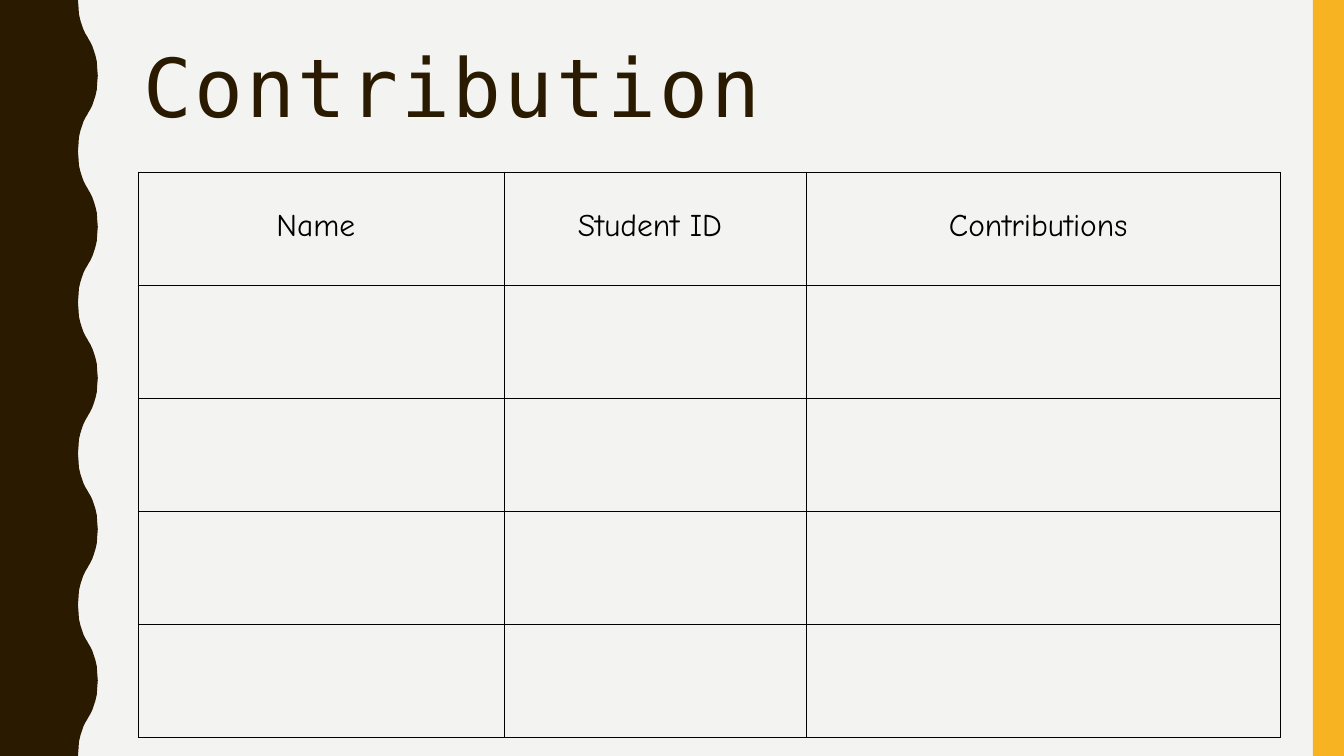
import lxml.etree
import pptx
import pptx.dml.color
import pptx.enum.text
import pptx.oxml.ns
import pptx.util

Cm, Pt = pptx.util.Cm, pptx.util.Pt
RGBColor = pptx.dml.color.RGBColor
qn = pptx.oxml.ns.qn

BROWN = RGBColor(0x2A, 0x1A, 0x00)
AMBER = RGBColor(0xF8, 0xB3, 0x23)
PAPER = RGBColor(0xF3, 0xF3, 0xF2)
BLACK = RGBColor(0, 0, 0)

WIDTH, HEIGHT = 67.74, 38.1
HEADERS = ["Name", "Student ID", "Contributions"]
COLUMN_WIDTHS = [18.44, 15.24, 23.9]
ROW_COUNT = 5
WAVE_COUNT = 5
# Outward and downward steps, in cm, from a trough to the middle of a slope
WAVE_QUARTER = [(0, 0), (0.03, 0.38), (0.05, 0.71), (0.12, 1.02),
                (0.2, 1.27), (0.28, 1.5), (0.38, 1.7), (0.5, 1.9)]

TITLE_FONT = {"name": "DejaVu Sans Mono", "size": Pt(116)}
HEADER_FONT = {"name": "Comic Neue", "size": Pt(45)}


def set_values(obj, values):
    for name, value in values.items():
        setattr(obj, name, value)


def paint(sp, color):
    sp.fill.solid()
    sp.fill.fore_color.rgb = color
    sp.line.fill.background()
    sp.shadow.inherit = False


def write(p, text, font, color):
    r = p.add_run()
    r.text = text
    set_values(r.font, font)
    r.font.color.rgb = color
    return r


def wave_points(width, height):
    """Points down a wavy right edge that starts and ends in a trough."""
    period = height / WAVE_COUNT
    depth = 2 * WAVE_QUARTER[-1][0]
    rise = WAVE_QUARTER + [(depth - x, period / 2 - y)
                           for x, y in reversed(WAVE_QUARTER)]
    wave = rise + [(x, period - y) for x, y in reversed(rise)]
    return [(width - depth + x, i * period + y)
            for i in range(WAVE_COUNT) for x, y in wave]


def add_wavy_band(slide, left, top, width, height):
    points = [*wave_points(width, height), (0, height)]
    builder = slide.shapes.build_freeform(Cm(left), Cm(top))
    builder.add_line_segments([(Cm(left + x), Cm(top + y)) for x, y in points])
    paint(builder.convert_to_shape(), BROWN)


def add_side_bar(slide, left, top, width, height):
    sp = slide.shapes.add_shape(pptx.enum.shapes.MSO_SHAPE.RECTANGLE,
                                Cm(left), Cm(top), Cm(width), Cm(height))
    paint(sp, AMBER)


def add_title(slide, left, top, width, height):
    tf = slide.shapes.add_textbox(Cm(left), Cm(top), Cm(width), Cm(height)).text_frame
    set_values(tf, {"word_wrap": True, "margin_top": Cm(0.25)})
    p = tf.paragraphs[0]
    p.line_spacing = 0.9
    r = write(p, "Contribution", TITLE_FONT, BROWN)
    r.font._element.set("spc", "400")


def add_borders(cell):
    tc_pr = cell._tc.get_or_add_tcPr()
    for i, side in enumerate(["lnL", "lnR", "lnT", "lnB"]):
        ln = lxml.etree.Element(qn("a:" + side), w=str(Pt(1)))
        fill = lxml.etree.SubElement(ln, qn("a:solidFill"))
        lxml.etree.SubElement(fill, qn("a:srgbClr"), val=str(BLACK))
        tc_pr.insert(i, ln)


def add_contribution_table(slide, left, top, width, height):
    table = slide.shapes.add_table(ROW_COUNT, len(HEADERS), Cm(left), Cm(top),
                                   Cm(width), Cm(height)).table
    set_values(table, {"first_row": False, "horz_banding": False})
    for column, column_width in zip(table.columns, COLUMN_WIDTHS):
        column.width = Cm(column_width)
    for row in table.rows:
        row.height = Cm(height / ROW_COUNT)
    for cell in table.iter_cells():
        cell.fill.background()
        add_borders(cell)
    for cell, text in zip(table.rows[0].cells, HEADERS):
        set_values(cell, {"margin_left": Cm(0.13), "margin_right": Cm(0.13),
                          "margin_top": Cm(1.82), "margin_bottom": 0})
        p = cell.text_frame.paragraphs[0]
        p.alignment = pptx.enum.text.PP_ALIGN.CENTER
        write(p, text + " ", HEADER_FONT, BLACK)


def main():
    prs = pptx.Presentation()
    set_values(prs, {"slide_width": Cm(WIDTH), "slide_height": Cm(HEIGHT)})
    slide = prs.slides.add_slide(prs.slide_layouts[6])
    slide.background.fill.solid()
    slide.background.fill.fore_color.rgb = PAPER
    add_wavy_band(slide, 0, 0, 4.93, HEIGHT)
    add_side_bar(slide, WIDTH - 1.57, 0, 1.57, HEIGHT)
    add_title(slide, 6.96, 2.13, 56.54, 8.28)
    add_contribution_table(slide, 6.96, 8.66, sum(COLUMN_WIDTHS), 28.5)
    prs.save("out.pptx")


if __name__ == "__main__":
    main()
